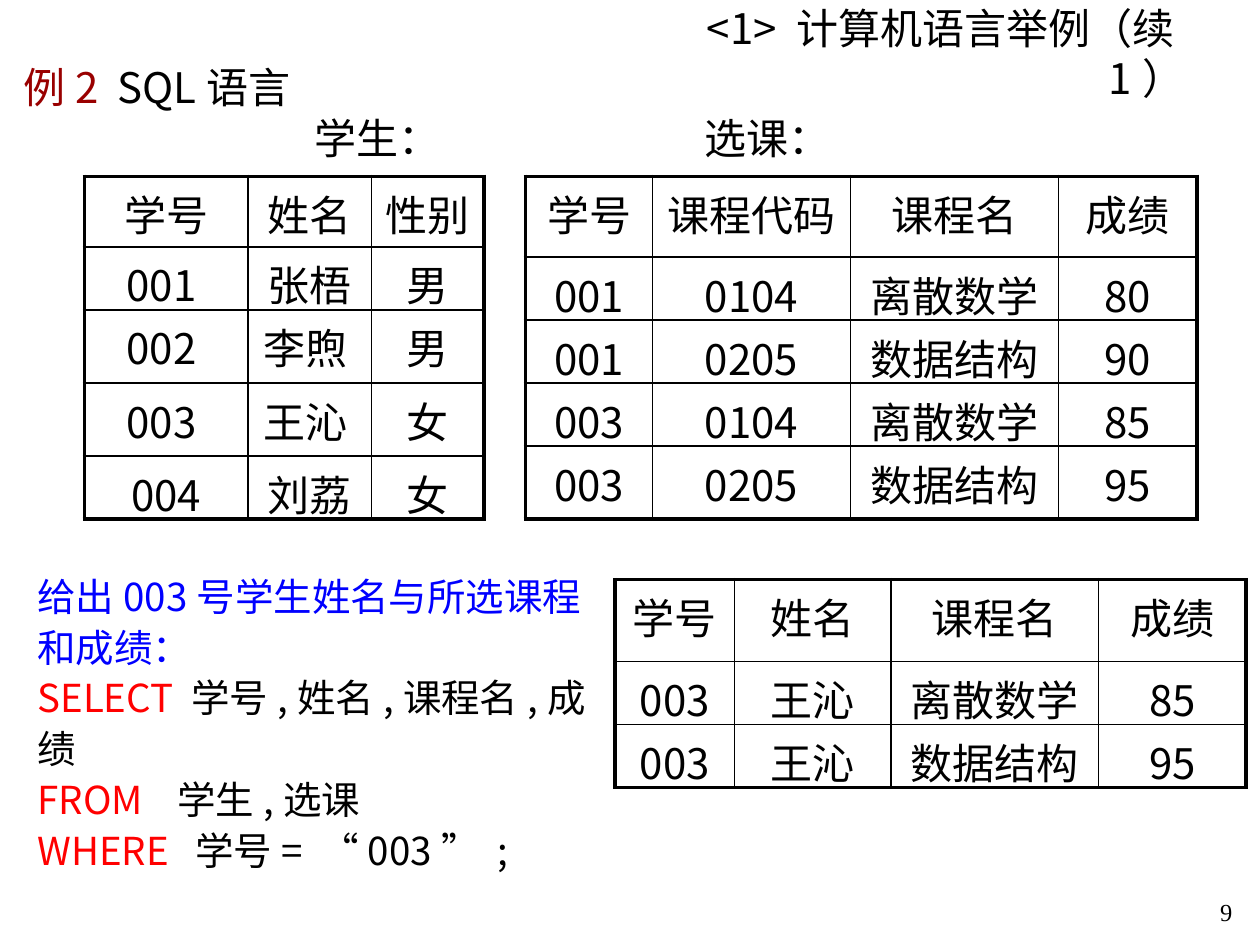
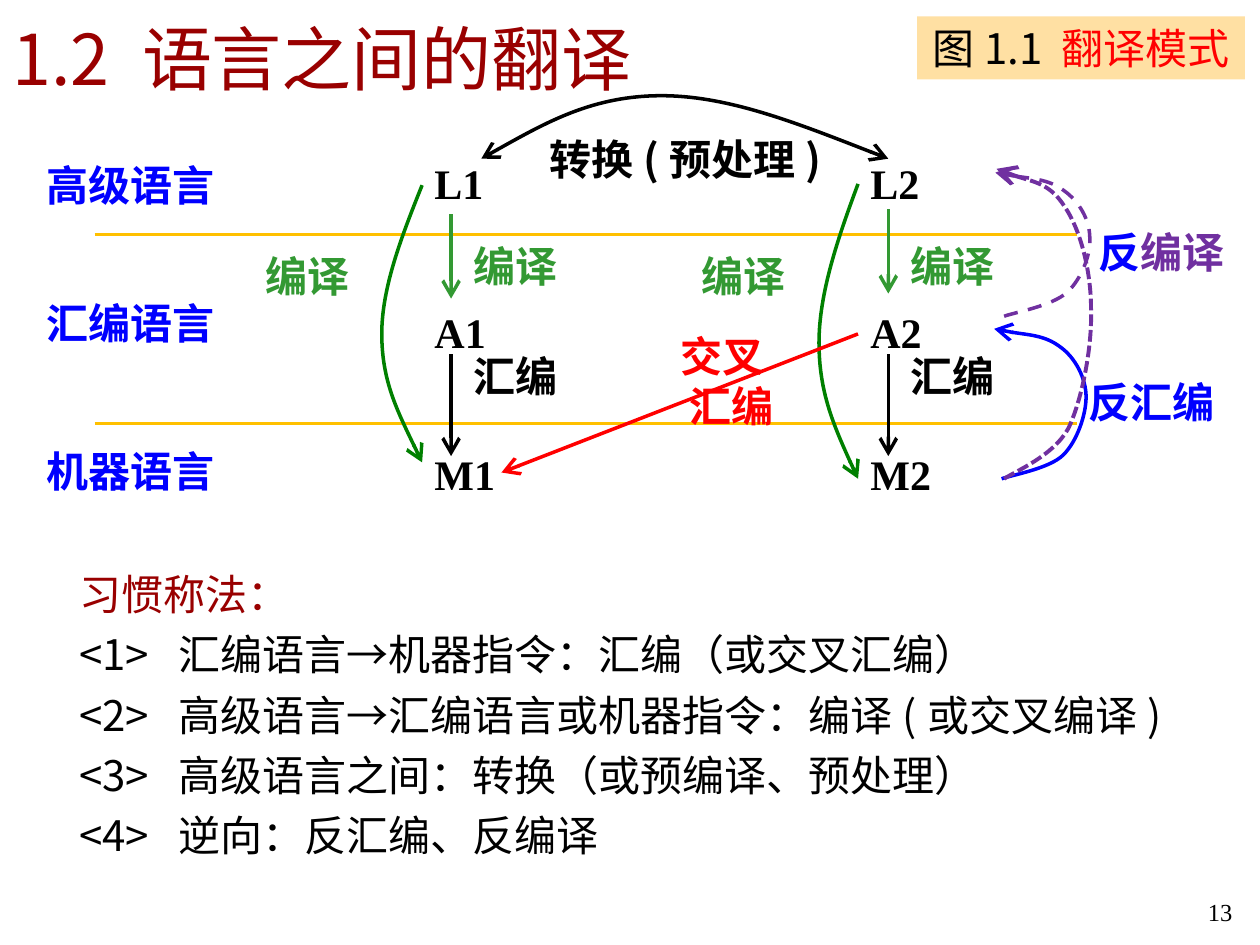
from lxml.etree import SubElement
from pptx import Presentation
from pptx.dml.color import RGBColor
from pptx.enum.dml import MSO_LINE
from pptx.enum.shapes import MSO_CONNECTOR, MSO_SHAPE
from pptx.enum.text import MSO_ANCHOR, MSO_AUTO_SIZE, PP_ALIGN
from pptx.oxml.ns import qn
from pptx.util import Pt

PX = 9144
CELL_INSET = 5
CELL_TEXT_BOTTOM = 54
SANS = "Noto Sans CJK SC"
SERIF = "Times New Roman"
BLACK = RGBColor(0x00, 0x00, 0x00)
BLUE = RGBColor(0x00, 0x00, 0xFF)
RED = RGBColor(0xFF, 0x00, 0x00)
MAROON = RGBColor(0x99, 0x00, 0x00)
LEAF = RGBColor(0x33, 0x99, 0x33)
GREEN = RGBColor(0x00, 0x80, 0x00)
PURPLE = RGBColor(0x70, 0x30, 0xA0)
AMBER = RGBColor(0xFF, 0xC0, 0x00)
CREAM = RGBColor(0xFF, 0xE0, 0xA3)


def emu(*lengths):
    return [length * PX for length in lengths]


def write_paragraph(paragraph, runs, size=24, font=SANS, bold=False,
                    align=PP_ALIGN.LEFT, spacing=None, before=0, tab=None):
    if len(runs) == 1:
        paragraph.text = runs[0][0]
        paragraph.font.color.rgb = runs[0][1]
    else:
        for text, color, *run_font in runs:
            run = paragraph.add_run()
            run.text = text
            run.font.color.rgb = color
            if run_font:
                run.font.name = run_font[0]
    paragraph.alignment = align
    paragraph.space_before = Pt(before)
    if spacing:
        paragraph.line_spacing = spacing
    paragraph.font.size = Pt(size)
    paragraph.font.name = font
    paragraph.font.bold = bold
    properties = paragraph._p.get_or_add_pPr()
    defaults = properties.find(qn("a:defRPr"))
    SubElement(defaults, qn("a:ea"), typeface=SANS)
    if tab:
        stops = SubElement(properties, qn("a:tabLst"))
        SubElement(stops, qn("a:tab"), pos=str(tab * PX), algn="l")
        defaults.addprevious(stops)


def write_lines(frame, lines, **style):
    frame.word_wrap = True
    frame.auto_size = MSO_AUTO_SIZE.NONE
    for index, (runs, tab) in enumerate(lines):
        paragraph = frame.add_paragraph() if index else frame.paragraphs[0]
        write_paragraph(paragraph, runs, tab=tab, **style)


def add_text(slide, box, lines, **style):
    write_lines(slide.shapes.add_textbox(*emu(*box)).text_frame, lines, **style)


def add_label(slide, left, top, width, text, color, height=50, font=SERIF):
    add_text(slide, (left, top, width, height), [([(text, color)], None)],
             font=font, bold=True)


def add_titled_slide(deck, title, box, number, **style):
    slide = deck.slides.add_slide(deck.slide_layouts[5])
    heading = slide.shapes.title
    heading.left, heading.top, heading.width, heading.height = emu(*box)
    heading.text_frame.vertical_anchor = MSO_ANCHOR.MIDDLE
    write_lines(heading.text_frame, [([title], None)], **style)
    add_text(slide, (780, 707, 208, 30), [([(number, BLACK)], None)],
             size=14, font=SERIF, align=PP_ALIGN.RIGHT)
    return slide


def border_cell(cell, thick_sides):
    properties = cell._tc.get_or_add_tcPr()
    for side in "LRTB":
        width = Pt(2.25 if side in thick_sides else 1)
        line = SubElement(properties, qn(f"a:ln{side}"), w=str(width))
        fill = SubElement(line, qn("a:solidFill"))
        SubElement(fill, qn("a:srgbClr"), val=str(BLACK))
    cell.fill.background()


def add_records(slide, left, top, widths, heights, records):
    frame = slide.shapes.add_table(len(heights), len(widths),
                                   *emu(left, top, sum(widths), sum(heights)))
    table = frame.table
    table.first_row = table.horz_banding = False
    for column, width in zip(table.columns, widths):
        column.width = width * PX
    for row, height in zip(table.rows, heights):
        row.height = height * PX
    last_row, last_column = len(heights) - 1, len(widths) - 1
    for r, record in enumerate(records):
        for c, value in enumerate(record):
            cell = table.cell(r, c)
            write_paragraph(cell.text_frame.paragraphs[0], [(value, BLACK)],
                            align=PP_ALIGN.CENTER, before=4.8)
            cell.margin_top = CELL_INSET * PX
            cell.margin_bottom = min(CELL_INSET, heights[r] - CELL_TEXT_BOTTOM) * PX
            edges = {"L": c == 0, "R": c == last_column, "T": r == 0, "B": r == last_row}
            border_cell(cell, [side for side, outer in edges.items() if outer])


def style_line(shape, color, width=2, dash=None, ends=("tailEnd",)):
    shape.line.color.rgb = color
    shape.line.width = Pt(width)
    if dash:
        shape.line.dash_style = dash
    for end in ends:
        SubElement(shape.line._get_or_add_ln(), qn(f"a:{end}"),
                   type="arrow", w="lg", len="lg")


def add_line(slide, start, finish, color, **style):
    line = slide.shapes.add_connector(MSO_CONNECTOR.STRAIGHT, *emu(*start, *finish))
    style_line(line, color, **style)
    SubElement(line._element.spPr, qn("a:effectLst"))


def add_curve(slide, points, color, **style):
    builder = slide.shapes.build_freeform(*emu(*points[0]))
    builder.add_line_segments([emu(*point) for point in points[1:]], close=False)
    curve = builder.convert_to_shape()
    segments = list(curve._element.iter(qn("a:lnTo")))
    for first in range(0, len(segments), 3):
        outline = segments[first].getparent()
        bezier = SubElement(outline, qn("a:cubicBezTo"))
        for segment in segments[first:first + 3]:
            bezier.append(segment[0])
            outline.remove(segment)
    curve.fill.background()
    curve.shadow.inherit = False
    style_line(curve, color, **style)


def build_sql_slide(deck):
    slide = add_titled_slide(deck, ("<1> 计算机语言举例（续1）", BLACK),
                             (500, 17, 450, 50), "9", align=PP_ALIGN.RIGHT)
    query = [
        ([("给出003号学生姓名与所选课程和成绩：", BLUE)], None),
        ([("SELECT ", RED), ("学号,姓名,课程名,成绩", BLACK)], None),
        ([("FROM\t", RED), ("学生,选课", BLACK)], 111),
        ([("WHERE\t", RED), ("学号= ", BLACK), ("“", BLACK, SERIF),
          ("003", BLACK), ("”", BLACK, SERIF), (" ;", BLACK)], 125),
    ]
    add_text(slide, (20, 446, 476, 211), query, size=22, spacing=1.1)
    add_text(slide, (9, 44, 625, 50),
             [([("例2\t", MAROON), ("SQL语言", BLACK)], 74)])

    add_records(slide, 67, 140, (130, 98, 89), (56, 50, 58, 58, 50), [
        ("学号", "姓名", "性别"),
        ("001 ", "张梧", "男"),
        ("002 ", "李煦 ", "男"),
        ("003 ", "王沁 ", "女"),
        ("004", "刘荔", "女"),
    ])
    add_records(slide, 417, 140, (101, 157, 165, 110), (64, 50, 50, 50, 58), [
        ("学号", "课程代码", "课程名", "成绩"),
        ("001", "0104", "离散数学", "80"),
        ("001", "0205", "数据结构", "90"),
        ("003", "0104", "离散数学", "85"),
        ("003", "0205", "数据结构", "95"),
    ])
    add_records(slide, 488, 460, (95, 124, 165, 117), (65, 50, 50), [
        ("学号", "姓名", "课程名", "成绩"),
        ("003", "王沁", "离散数学", "85"),
        ("003", "王沁", "数据结构", "95"),
    ])
    add_text(slide, (240, 84, 504, 50), [([("学生：\t选课：", BLACK)], 309)], font=SERIF)


def add_machine(slide, number, left, axis, compile_top, curve):
    for level, top in (("A", 238), ("L", 120), ("M", 351)):
        add_label(slide, left, top, 87, level + number, BLACK)
    add_line(slide, (axis, compile_top), (axis, compile_top + 67), LEAF)
    add_line(slide, (axis, 281), (axis, 362), BLACK)
    add_label(slide, axis + 8, 186, 118, "编译", LEAF)
    add_label(slide, axis + 8, 273, 118, "汇编", BLACK)
    add_curve(slide, curve, GREEN)
    add_label(slide, left - 134, 194, 108, "编译", LEAF)


def build_translation_slide(deck):
    slide = add_titled_slide(deck, ("1.2 语言之间的翻译", MAROON),
                             (0, 8, 555, 75), "13", size=40)
    terms = [
        "汇编语言→机器指令：汇编（或交叉汇编）",
        "高级语言→汇编语言或机器指令：编译(或交叉编译)",
        "高级语言之间：转换（或预编译、预处理）",
        "逆向：反汇编、反编译",
    ]
    add_text(slide, (53, 438, 888, 250),
             [([("习惯称法：", MAROON)], None)]
             + [([(f"<{n}>\t{term}", BLACK)], 79) for n, term in enumerate(terms, 1)],
             spacing=1.2)

    caption = slide.shapes.add_shape(MSO_SHAPE.RECTANGLE, *emu(728, 13, 260, 50))
    caption.fill.solid()
    caption.fill.fore_color.rgb = CREAM
    caption.line.fill.background()
    caption.shadow.inherit = False
    caption.text_frame.vertical_anchor = MSO_ANCHOR.TOP
    write_lines(caption.text_frame,
                [([("图1.1 ", BLACK), ("翻译模式", RED)], None)], align=PP_ALIGN.CENTER)

    for height in (186, 336):
        add_line(slide, (75, height), (855, height), AMBER, ends=())
    for top, level in ((122, "高级语言"), (231, "汇编语言"), (349, "机器语言")):
        add_label(slide, 27, top, 173, level, BLUE)

    add_machine(slide, "1", 335, 358, 170,
                [(335, 147), (319, 187), (303, 228), (303, 265),
                 (303, 302), (319, 334), (335, 367)])
    add_machine(slide, "2", 681, 705, 166,
                [(681, 146), (665, 189), (650, 233), (650, 272),
                 (650, 311), (665, 346), (681, 380)])

    add_curve(slide, [(382, 126), (426, 101), (471, 76), (525, 76),
                      (578, 76), (641, 101), (705, 126)],
              BLACK, ends=("headEnd", "tailEnd"))
    add_label(slide, 426, 101, 244, "转换(预处理)", BLACK, font=SANS)
    add_line(slide, (681, 265), (398, 375), RED)
    add_label(slide, 530, 257, 142, "交叉\v 汇编", RED, height=91)

    add_curve(slide, [(795, 380), (803, 377), (833, 372), (844, 361), (855, 350),
                      (862, 329), (862, 315), (862, 301), (854, 284), (841, 275),
                      (829, 266), (800, 264), (789, 261)], BLUE)
    add_label(slide, 854, 294, 134, "反汇编", BLUE)
    add_curve(slide, [(797, 251), (805, 248), (835, 243), (847, 232), (858, 222),
                      (866, 202), (865, 189), (865, 175), (857, 160), (844, 151),
                      (832, 142), (802, 140), (790, 137)], PURPLE, dash=MSO_LINE.DASH)
    add_text(slide, (862, 175, 134, 50),
             [([("反", BLUE), ("编译", PURPLE)], None)], font=SERIF, bold=True)
    add_curve(slide, [(797, 380), (806, 374), (836, 362), (848, 340), (859, 317),
                      (867, 275), (866, 245), (866, 216), (858, 183), (845, 164),
                      (833, 145), (803, 140), (791, 134)],
              PURPLE, width=2.25, dash=MSO_LINE.SQUARE_DOT)


def main():
    deck = Presentation()
    deck.slide_width, deck.slide_height = emu(1000, 750)
    build_sql_slide(deck)
    build_translation_slide(deck)
    deck.save("out.pptx")


if __name__ == "__main__":
    main()
